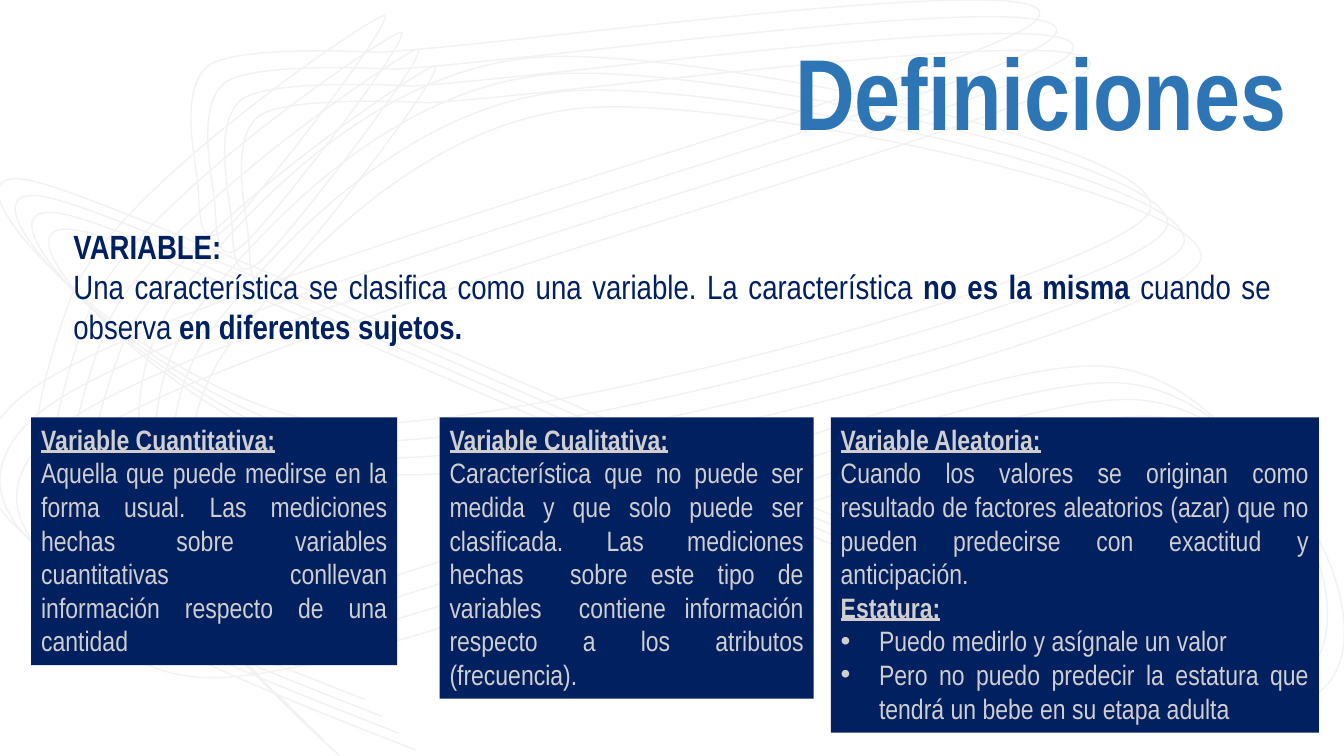
from lxml import etree
from pptx import Presentation
from pptx.dml.color import RGBColor
from pptx.enum.shapes import MSO_SHAPE
from pptx.enum.text import MSO_ANCHOR, MSO_AUTO_SIZE, PP_ALIGN
from pptx.oxml.ns import qn
from pptx.util import Inches, Pt

RECT = MSO_SHAPE.RECTANGLE
TOP = MSO_ANCHOR.TOP
GROW = MSO_AUTO_SIZE.SHAPE_TO_FIT_TEXT
RIGHT, JUST = PP_ALIGN.RIGHT, PP_ALIGN.JUSTIFY

NAVY = RGBColor(0x00, 0x20, 0x60)
BLUE = RGBColor(0x2E, 0x75, 0xB5)
GRAY = RGBColor(0xD0, 0xCE, 0xCE)
PALE = RGBColor(0xF2, 0xF2, 0xF2)
FONT = "Arial Narrow"

# Scribble: a start point, then three points for each Bezier curve
START = (2.87, 7)
CURVES = [
    (2.28, 6.46, 1.69, 5.92, 1.52, 5.22),
    (1.35, 4.53, 1.21, 3.62, 1.84, 2.84),
    (2.47, 2.07, 3.71, 0.7, 5.31, 0.57),
    (6.9, 0.45, 11.7, 1.49, 11.4, 2.1),
    (11.09, 2.7, 5.3, 4.25, 3.46, 4.21),
    (1.63, 4.16, -1.03, 1.43, 0.38, 1.81),
    (1.79, 2.19, 10.19, 6.16, 11.94, 6.46),
    (13.69, 6.76, 12.62, 3.67, 10.88, 3.63),
    (9.14, 3.6, 3.18, 6.34, 1.49, 6.22),
    (-0.21, 6.11, 0.32, 3.95, 0.71, 2.94),
    (1.09, 1.93, 3.53, 0.27, 3.79, 0.16),
    (4.05, 0.04, 2.56, 1.98, 2.26, 2.25),
    (1.95, 2.53, 1.99, 2.08, 1.96, 1.81),
    (1.93, 1.54, 1.78, 0.87, 2.07, 0.65),
    (2.37, 0.44, 3.74, 0.52, 3.74, 0.52),
    (5.1, 0.45, 10.87, -0.38, 10.27, 0.21),
    (9.66, 0.79, 1.23, 2.89, 0.12, 4.02),
    (-0.99, 5.14, 1.32, 6.04, 3.62, 6.94),
]
STEP = 1 / 6
WIDE, HIGH = Inches(13), Inches(7)


def write(frame, text, size=20, color=GRAY, align=JUST, under=False, bullet=False):
    """Add a paragraph; text between asterisks is bold."""
    para = frame.paragraphs[0]
    if para.runs:
        para = frame.add_paragraph()
    para.alignment = align
    for i, part in enumerate(text.split("*")):
        if part:
            run = para.add_run()
            run.text = part
            font = run.font
            font.name, font.size, font.bold = FONT, Pt(size), i % 2 == 1
            font.underline = under
            font.color.rgb = color
    if bullet:
        props = para._p.get_or_add_pPr()
        props.set("marL", str(Inches(0.38)))
        props.set("indent", str(Inches(-0.38)))
        etree.SubElement(props, qn("a:buFont")).set("typeface", "Arial")
        etree.SubElement(props, qn("a:buChar")).set("char", "•")


def fit(shape):
    """Wrap the text from the top and return its frame."""
    frame = shape.text_frame
    frame.word_wrap = True
    frame.auto_size = GROW
    frame.vertical_anchor = TOP
    return frame


deck = Presentation()
deck.slide_width, deck.slide_height = Inches(13.33), Inches(7.5)
slide = deck.slides.add_slide(deck.slide_layouts[6])
shapes = slide.shapes

# Background scribble, drawn four times along a diagonal
flat = [n for curve in CURVES for n in curve]
points = [START, *zip(flat[::2], flat[1::2])]
spots = [(Inches(x + STEP), Inches(y)) for x, y in points]
for shift in (0, 1, 3, 2):
    pen = shapes.build_freeform(*spots[0])
    pen.add_line_segments(spots[1:], close=False)
    loop = pen.convert_to_shape()
    loop.left, loop.top = Inches((shift - 1) * STEP), Inches(shift * STEP)
    loop.width, loop.height = WIDE, HIGH
    loop.shadow.inherit = False
    loop.fill.background()
    loop.line.color.rgb = PALE
    loop.line.width = Pt(1)

    track = next(loop._element.iter(qn("a:path")))
    track.set("w", str(WIDE))
    track.set("h", str(HIGH))
    nodes = list(track.iter(qn("a:pt")))
    for node, (x, y) in zip(nodes, spots):
        node.set("x", str(x))
        node.set("y", str(y))
    for side in track.findall(qn("a:lnTo")):
        track.remove(side)
    for i in range(1, len(nodes), 3):
        etree.SubElement(track, qn("a:cubicBezTo")).extend(nodes[i:i + 3])

# Title and main definition
title = shapes.add_textbox(Inches(7.67), Inches(0.25), Inches(5.19), Inches(1.31))
write(fit(title), "*Definiciones*", size=72, color=BLUE, align=RIGHT)

body = fit(shapes.add_textbox(Inches(0.63), Inches(2.19), Inches(12.07), Inches(1.31)))
write(body, "*VARIABLE:*", size=24, color=NAVY)
write(body, "Una característica se clasifica como una variable. La característica "
      "*no es la misma *cuando se observa *en diferentes sujetos. *",
      size=24, color=NAVY)

# Kinds of variable: left, width, height, heading, text
CARDS = [
    (0.31, 3.63, 2.46, "Variable Cuantitativa:",
     "Aquella que puede medirse en la forma usual. Las mediciones hechas sobre "
     "variables cuantitativas conllevan información respecto de una cantidad"),
    (4.36, 3.71, 2.79, "Variable Cualitativa:",
     "Característica que no puede ser medida y que solo puede ser clasificada. "
     "Las mediciones hechas  sobre este tipo de variables  contiene información "
     "respecto a los atributos (frecuencia)."),
    (8.24, 4.84, 3.13, "Variable Aleatoria:",
     "Cuando los valores se originan como resultado de factores aleatorios (azar) "
     "que no pueden predecirse con exactitud y anticipación."),
]
for left, width, height, head, text in CARDS:
    card = shapes.add_shape(RECT, Inches(left), Inches(4.14), Inches(width), Inches(height))
    card.shadow.inherit = False
    card.fill.solid()
    card.fill.fore_color.rgb = NAVY
    card.line.fill.background()
    frame = fit(card)
    write(frame, f"*{head}*", under=True)
    write(frame, text)

# The last card goes on with an example
write(frame, "*Estatura:*", under=True)
write(frame, "Puedo medirlo y asígnale un valor", bullet=True)
write(frame, "Pero no puedo predecir la estatura que tendrá un bebe en su etapa adulta",
      bullet=True)

deck.save("out.pptx")
